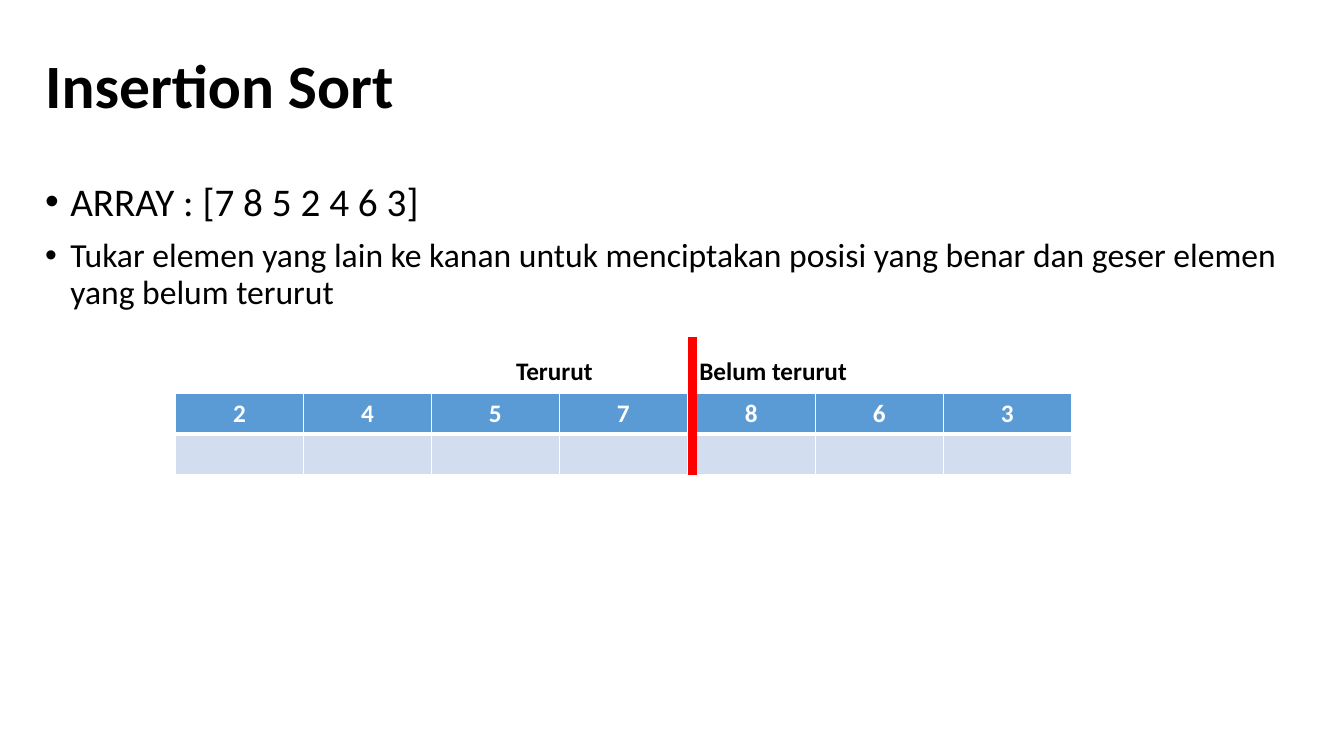
from lxml.etree import SubElement
from pptx import Presentation
from pptx.dml.color import RGBColor
from pptx.enum.shapes import MSO_CONNECTOR
from pptx.enum.text import MSO_ANCHOR, PP_ALIGN
from pptx.oxml.ns import qn
from pptx.util import Pt

COLORS = {
    "ink": "000000",
    "white": "FFFFFF",
    "header": "5B9BD5",
    "band": "D2DEEF",
    "divider": "FF0000",
}
ROW_HEIGHT = 29.2


class SlideBuilder:
    font = "Calibri"

    def __init__(self, page):
        self.page = page

    def color(self, name):
        return RGBColor.from_string(COLORS[name])

    def span(self, para, text, size, color="ink", bold=False):
        span = para.add_run()
        span.text = text
        span.font.name = self.font
        span.font.size = Pt(size)
        span.font.bold = bold
        span.font.color.rgb = self.color(color)

    def text_box(self, left, top, width, height, anchor=MSO_ANCHOR.TOP):
        box = self.page.shapes.add_textbox(Pt(left), Pt(top), Pt(width), Pt(height))
        box.text_frame.word_wrap = True
        box.text_frame.vertical_anchor = anchor
        return box.text_frame

    def title(self, text, *place):
        para = self.text_box(*place, MSO_ANCHOR.MIDDLE).paragraphs[0]
        para.line_spacing = 0.9
        self.span(para, text, 44, bold=True)

    def bullets(self, items, *place):
        frame = self.text_box(*place)
        for index, (text, size) in enumerate(items):
            para = frame.add_paragraph() if index else frame.paragraphs[0]
            para.line_spacing = 0.9
            para.space_before = Pt(10)
            properties = para._p.get_or_add_pPr()
            properties.set("marL", str(Pt(18)))
            properties.set("indent", str(Pt(-18)))
            SubElement(properties, qn("a:buFont"), typeface="Arial")
            SubElement(properties, qn("a:buChar"), char="•")
            self.span(para, text, size)

    def borders(self, cell, bottom):
        properties = cell._tc.get_or_add_tcPr()
        widths = {"L": 1, "R": 1, "T": 1, "B": bottom}
        for index, (side, width) in enumerate(widths.items()):
            line = SubElement(properties, qn(f"a:ln{side}"), w=str(Pt(width)))
            fill = SubElement(line, qn("a:solidFill"))
            SubElement(fill, qn("a:srgbClr"), val=COLORS["white"])
            properties.insert(index, line)

    def table(self, rows, left, top, width, color, align, fills=None):
        shape = self.page.shapes.add_table(
            len(rows), len(rows[0]), Pt(left), Pt(top), Pt(width), Pt(ROW_HEIGHT * len(rows))
        )
        table = shape.table
        table.first_row = table.horz_banding = False
        for row, texts in enumerate(rows):
            for column, text in enumerate(texts):
                cell = table.cell(row, column)
                if fills:
                    cell.fill.solid()
                    cell.fill.fore_color.rgb = self.color(fills[row])
                    self.borders(cell, 1 if row else 3)
                else:
                    cell.fill.background()
                para = cell.text_frame.paragraphs[0]
                para.alignment = align
                if text:
                    self.span(para, text, 18, color, bold=True)

    def line(self, start, end, color, width):
        line = self.page.shapes.add_connector(
            MSO_CONNECTOR.STRAIGHT, *map(Pt, start), *map(Pt, end)
        )
        line.line.color.rgb = self.color(color)
        line.line.width = Pt(width)
        SubElement(line._element.spPr, qn("a:effectLst"))


def main():
    deck = Presentation()
    deck.slide_width, deck.slide_height = Pt(960), Pt(540)
    slide = SlideBuilder(deck.slides.add_slide(deck.slide_layouts[6]))

    slide.title("Insertion Sort", 25.2, 10.8, 790.6, 104.4)
    slide.bullets(
        [
            ("ARRAY : [7 8 5 2 4 6 3]", 28),
            (
                "Tukar elemen yang lain ke kanan untuk menciptakan posisi yang benar "
                "dan geser elemen yang belum terurut",
                24,
            ),
        ],
        25.2, 126.7, 911.5, 363.6,
    )

    numbers = list("2457863")
    slide.table(
        [numbers, [""] * len(numbers)],
        125.3, 280.8, 640, "white", PP_ALIGN.CENTER, ["header", "band"],
    )
    slide.table(
        [["Terurut", "Belum terurut"]], 361.4, 251.3, 262, "ink", PP_ALIGN.LEFT
    )
    slide.line((494.6, 240.5), (494.6, 339.1), "divider", 6)

    deck.save("out.pptx")


if __name__ == "__main__":
    main()
